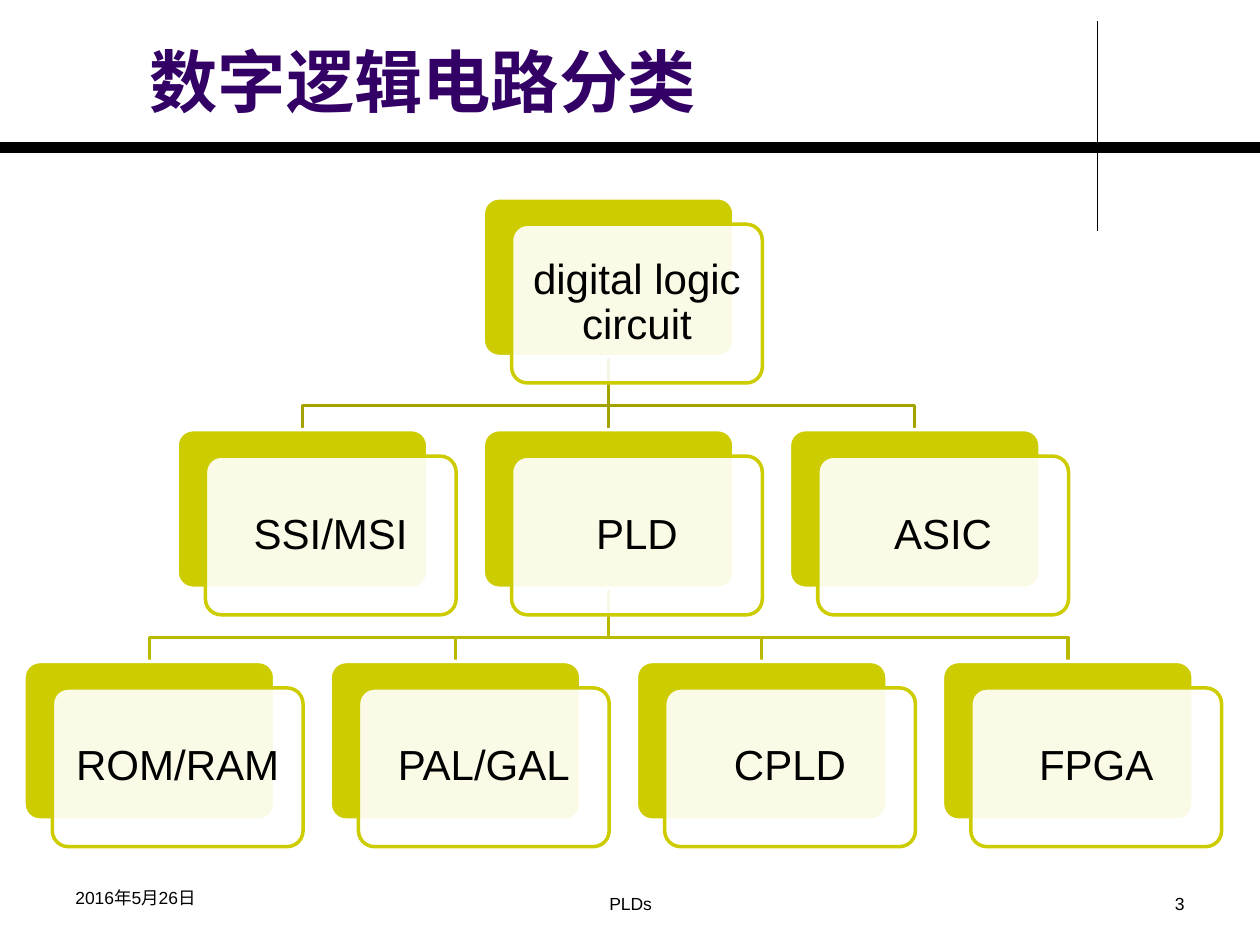
from dataclasses import dataclass

from lxml import etree
from pptx import Presentation, util as u
from pptx.dml.color import RGBColor
from pptx.enum import shapes, text
from pptx.oxml import ns

COLUMN = u.Inches(10) // 100
ROW = u.Inches(7.5) // 75
NODE_PITCH, LEVEL_PITCH = 24.3, 18.4
NODE_WIDTH, NODE_HEIGHT = 19.9, 12.6
OLIVE, WHITE, BLACK, PURPLE = "CCCC00", "FFFFFF", "000000", "330066"
LEVELS = [
    ["digital logic circuit"],
    ["SSI/MSI", "PLD", "ASIC"],
    ["ROM/RAM", "PAL/GAL", "CPLD", "FPGA"],
]
BRANCH_COLORS = ["A3A300", "B9B900"]


@dataclass
class Box:
    left: float
    top: float
    width: float
    height: float

    def emu(self):
        return (round(self.left * COLUMN), round(self.top * ROW),
                round(self.width * COLUMN), round(self.height * ROW))

    def shifted(self, right, down):
        return Box(self.left + right, self.top + down, self.width, self.height)

    def inset(self, margin):
        return Box(self.left + margin, self.top + margin,
                   self.width - 2 * margin, self.height - 2 * margin)


def color(value):
    return RGBColor.from_string(value)


def set_line(shape, value, width):
    shape.line.color.rgb = color(value)
    shape.line.width = u.Pt(width)


def add_line(parent, start, end, value, width):
    line = parent.add_connector(
        shapes.MSO_CONNECTOR.STRAIGHT,
        round(start[0] * COLUMN), round(start[1] * ROW),
        round(end[0] * COLUMN), round(end[1] * ROW))
    set_line(line, value, width)
    etree.SubElement(line._element.spPr, ns.qn("a:effectLst"))


def add_text(parent, box, runs, size, align="LEFT", anchor="TOP",
             value=BLACK, bold=False):
    frame = parent.add_textbox(*box.emu()).text_frame
    frame.word_wrap = True
    frame.vertical_anchor = text.MSO_ANCHOR[anchor]
    paragraph = frame.paragraphs[0]
    paragraph.alignment = text.PP_ALIGN[align]
    for words in runs:
        run = paragraph.add_run()
        run.text = words
        run.font.name = "Arial"
        run.font.size = u.Pt(size)
        run.font.bold = bold
        run.font.color.rgb = color(value)
    return frame


def add_card(parent, box, fill, line, opacity=100):
    card = parent.add_shape(shapes.MSO_SHAPE.ROUNDED_RECTANGLE, *box.emu())
    card.shadow.inherit = False
    card.adjustments[0] = 0.1
    card.fill.solid()
    card.fill.fore_color.rgb = color(fill)
    set_line(card, line, 2)
    if opacity < 100:
        tone = card._element.spPr.find(ns.qn("a:solidFill"))[0]
        etree.SubElement(tone, ns.qn("a:alpha"), val=str(opacity * 1000))


def add_node(parent, box, label):
    front = box.shifted(2.25, 2.1)
    add_card(parent, box, OLIVE, WHITE)
    add_card(parent, front, WHITE, OLIVE, 90)
    frame = add_text(parent, front.inset(0.36), [label], 24, "CENTER", "MIDDLE")
    frame.margin_left = frame.margin_right = COLUMN
    frame.margin_top = frame.margin_bottom = ROW
    frame.paragraphs[0].line_spacing = 0.9


def add_branch(parent, upper, lower, value):
    start_x = upper.left + upper.width / 2
    end_x = lower.left + lower.width / 2
    start_y = upper.top + upper.height
    if abs(start_x - end_x) < 0.01:
        add_line(parent, (start_x, start_y), (end_x, lower.top), value, 2)
        return
    bend_y = start_y + 3.9
    points = [(round(x * COLUMN), round(y * ROW)) for x, y in (
        (start_x, start_y), (start_x, bend_y), (end_x, bend_y), (end_x, lower.top))]
    builder = parent.build_freeform(*points[0])
    builder.add_line_segments(points[1:], close=False)
    branch = builder.convert_to_shape()
    branch.shadow.inherit = False
    branch.fill.background()
    set_line(branch, value, 2)


def add_hierarchy(slide, box):
    group = slide.shapes.add_group_shape().shapes
    levels = []
    for depth, labels in enumerate(LEVELS):
        first = box.left + (len(LEVELS[-1]) - len(labels)) / 2 * NODE_PITCH
        levels.append([
            Box(first + index * NODE_PITCH, box.top + depth * LEVEL_PITCH,
                NODE_WIDTH, NODE_HEIGHT)
            for index in range(len(labels))])
    for upper, lower, value in zip(levels, levels[1:], BRANCH_COLORS):
        parent_node = upper[len(upper) // 2]
        for node in lower:
            add_branch(group, parent_node, node, value)
    for nodes, labels in zip(levels, LEVELS):
        for node, label in zip(nodes, labels):
            add_node(group, node, label)


def add_header(slide, box):
    rule_y = box.top + box.height
    vertical_x = box.left + 87.1
    add_line(slide.shapes, (vertical_x, 1.7), (vertical_x, 18.3), BLACK, 0.75)
    add_line(slide.shapes, (box.left, rule_y), (box.left + box.width, rule_y), BLACK, 6)
    add_text(slide.shapes, Box(box.left + 10.9, box.top + 2, 75.5, 8.1),
             ["数字逻辑电路分类"], 39, anchor="BOTTOM", value=PURPLE, bold=True)


def add_footer(slide, box):
    side = 23.3
    add_text(slide.shapes, Box(box.left, box.top, side, 3.4), ["2016年5月26日"], 10)
    add_text(slide.shapes, Box(box.left + 29.2, box.top + 0.5, 31.7, 2.9),
             ["PLDs"], 10, "CENTER")
    add_text(slide.shapes, Box(box.left + box.width - side, box.top + 0.5, side, 2.9),
             ["3"], 10, "RIGHT")


def main():
    presentation = Presentation()
    presentation.slide_width = 100 * COLUMN
    presentation.slide_height = 75 * ROW
    slide = presentation.slides.add_slide(presentation.slide_layouts[6])
    add_header(slide, Box(0, 0, 100, 11.7))
    add_hierarchy(slide, Box(1.9, 15.7, 95.1, 51.5))
    add_footer(slide, Box(5, 69.9, 90, 3.4))
    presentation.save("out.pptx")


if __name__ == "__main__":
    main()
